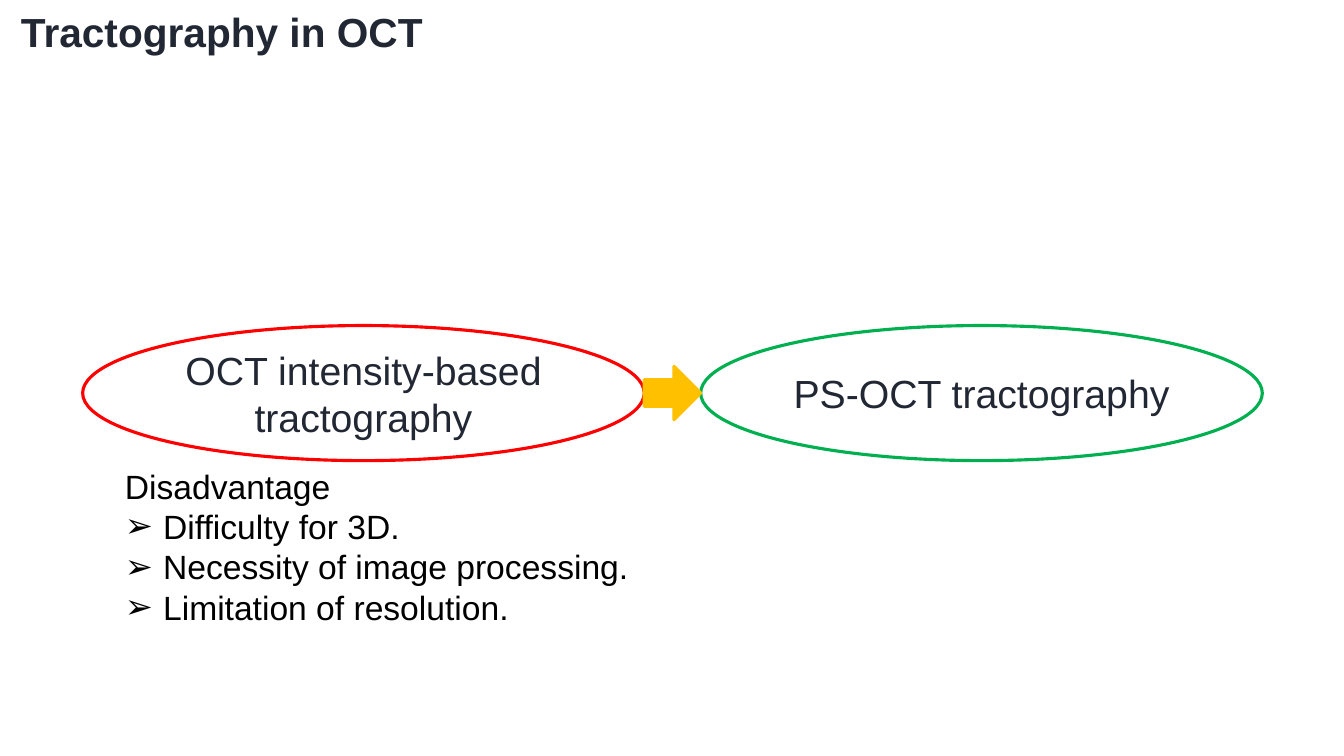
from dataclasses import dataclass

from lxml import etree
from pptx import Presentation
from pptx.dml.color import RGBColor
from pptx.enum.shapes import MSO_SHAPE
from pptx.enum.text import MSO_ANCHOR, PP_ALIGN
from pptx.oxml.ns import qn
from pptx.util import Inches, Pt

ELLIPSE = MSO_SHAPE.OVAL
RIGHT_ARROW = MSO_SHAPE.RIGHT_ARROW
MIDDLE = MSO_ANCHOR.MIDDLE
CENTER = PP_ALIGN.CENTER

FONT = "Arial"
COLORS = {
    "ink": "212733",
    "black": "000000",
    "red": "FF0000",
    "green": "00B050",
    "amber": "FFC000",
}
OUTLINE = Pt(2.25)
METHOD_TOP, METHOD_WIDTH, METHOD_HEIGHT = 3.23, 5.57, 1.34
ARROW_WIDTH, ARROW_HEIGHT = 0.56, 0.53


@dataclass
class Method:
    label: str
    left: float
    color: str


METHODS = [
    Method("OCT intensity-based tractography", 0.82, "red"),
    Method("PS-OCT tractography", 6.95, "green"),
]
DISADVANTAGES = [
    "Difficulty for 3D.",
    "Necessity of image processing.",
    "Limitation of resolution.",
]


def rgb(color: str) -> RGBColor:
    return RGBColor.from_string(COLORS[color])


def style_text(para, size: float, color: str, bold: bool = False) -> None:
    for span in para.runs:
        span.font.name = FONT
        span.font.size = Pt(size)
        span.font.bold = bold
        span.font.color.rgb = rgb(color)


def set_indent(para, margin: float, first_line: float) -> None:
    properties = para._p.get_or_add_pPr()
    properties.set("marL", str(Inches(margin)))
    properties.set("indent", str(Inches(first_line)))


def add_bullet(para, symbol: str) -> None:
    set_indent(para, 0.38, -0.38)
    properties = para._p.get_or_add_pPr()
    etree.SubElement(properties, qn("a:buFont")).set("typeface", FONT)
    etree.SubElement(properties, qn("a:buChar")).set("char", symbol)


def add_outlined(page, preset, left: float, top: float, width: float,
                 height: float, color: str):
    shape = page.shapes.add_shape(
        preset, Inches(left), Inches(top), Inches(width), Inches(height))
    shape.shadow.inherit = False
    shape.line.color.rgb = rgb(color)
    shape.line.width = OUTLINE
    return shape


def add_title(page) -> None:
    box = page.shapes.add_textbox(
        Inches(0), Inches(0.06), Inches(4.33), Inches(0.56))
    box.text_frame.word_wrap = False
    box.text_frame.text = "Tractography in OCT"
    para = box.text_frame.paragraphs[0]
    para.line_spacing = 0.95
    para.space_after = Pt(12.9)
    set_indent(para, 0.43, -0.32)
    style_text(para, 29, "ink", bold=True)


def add_method(page, method: Method) -> None:
    oval = add_outlined(page, ELLIPSE, method.left, METHOD_TOP,
                        METHOD_WIDTH, METHOD_HEIGHT, method.color)
    oval.fill.background()
    oval.text_frame.word_wrap = True
    oval.text_frame.vertical_anchor = MIDDLE
    oval.text_frame.text = method.label
    para = oval.text_frame.paragraphs[0]
    para.alignment = CENTER
    style_text(para, 28, "ink")


def add_disadvantages(page) -> None:
    box = page.shapes.add_textbox(
        Inches(1.14), Inches(4.57), Inches(5.24), Inches(1.72))
    box.text_frame.word_wrap = True
    box.text_frame.text = "\n".join(["Disadvantage", *DISADVANTAGES])
    for index, para in enumerate(box.text_frame.paragraphs):
        style_text(para, 24, "black")
        if index > 0:
            add_bullet(para, "➢")


def add_arrow(page) -> None:
    left = METHODS[0].left + METHOD_WIDTH
    top = METHOD_TOP + (METHOD_HEIGHT - ARROW_HEIGHT) / 2
    arrow = add_outlined(page, RIGHT_ARROW, left, top,
                         ARROW_WIDTH, ARROW_HEIGHT, "amber")
    arrow.fill.solid()
    arrow.fill.fore_color.rgb = rgb("amber")


def main() -> None:
    deck = Presentation()
    deck.slide_width, deck.slide_height = Inches(13.33), Inches(7.5)
    page = deck.slides.add_slide(deck.slide_layouts[6])

    # Heading
    add_title(page)

    # The two methods, with the drawbacks of the first
    for method in METHODS:
        add_method(page, method)
    add_disadvantages(page)

    # Step from the first method to the second
    add_arrow(page)

    deck.save("out.pptx")


if __name__ == "__main__":
    main()
